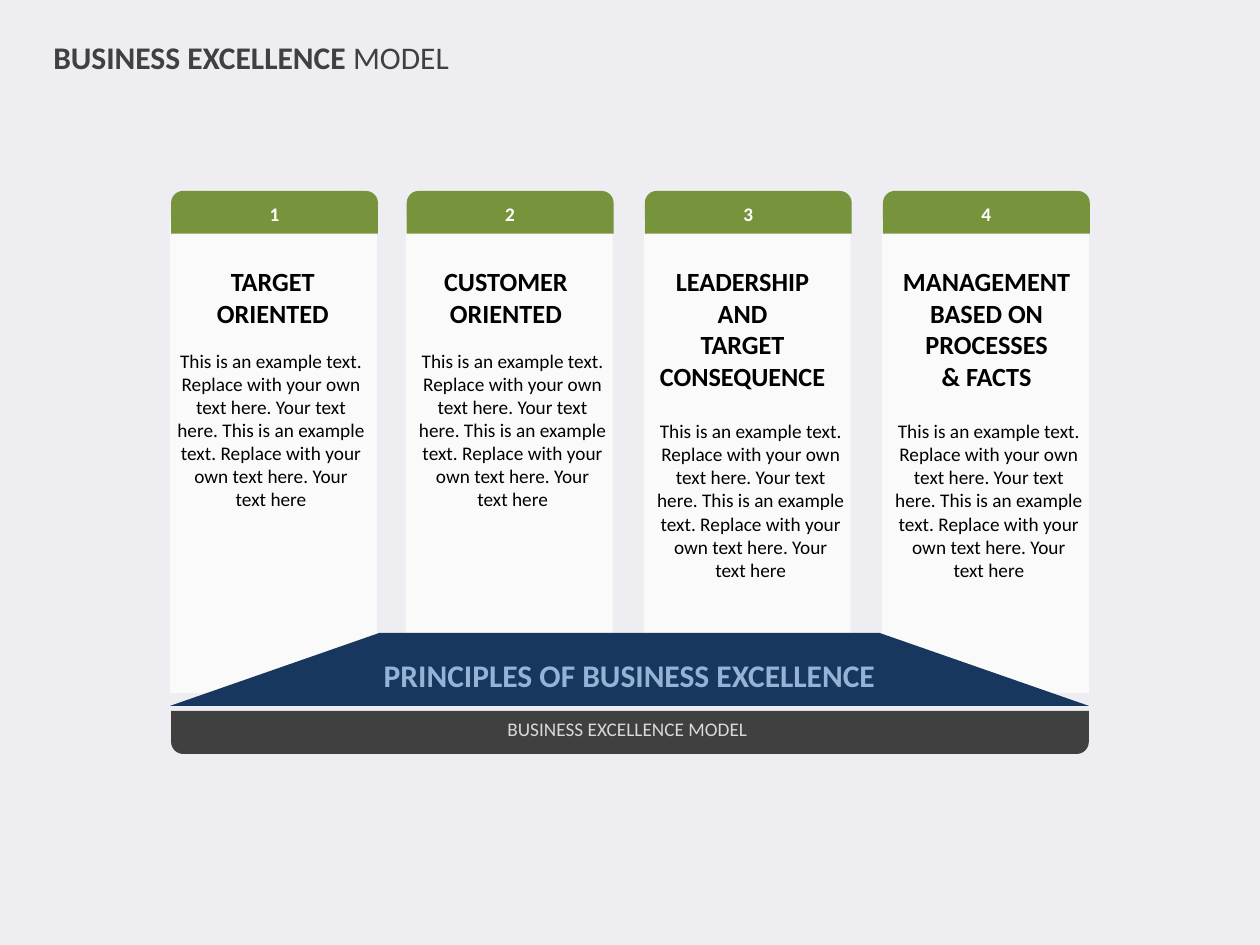
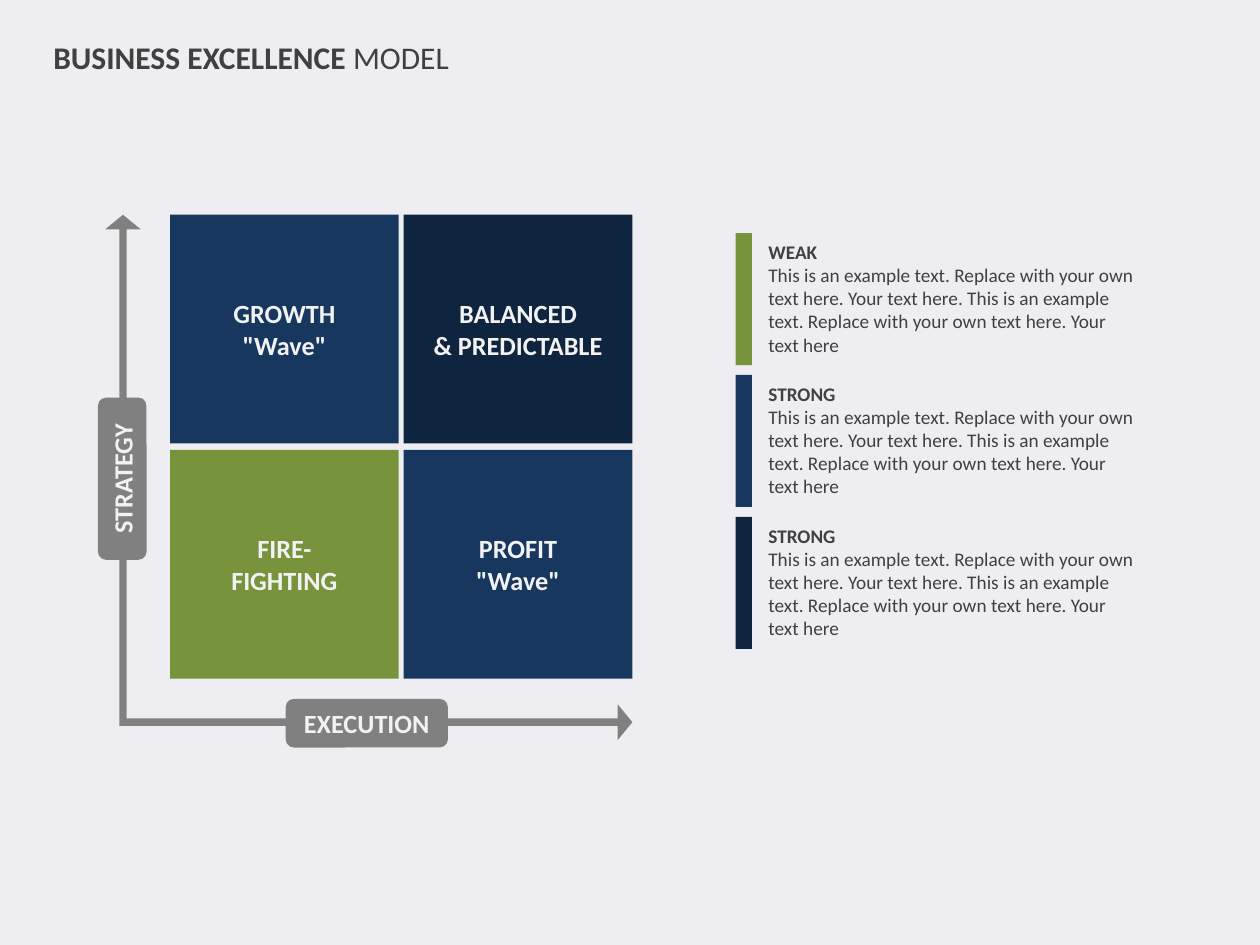
from lxml import etree
from pptx import Presentation
from pptx.dml.color import RGBColor
from pptx.enum.shapes import MSO_SHAPE
from pptx.enum.text import MSO_ANCHOR, MSO_AUTO_SIZE, PP_ALIGN
from pptx.oxml.ns import qn
from pptx.util import Cm, Pt

RECT, ROUNDED = MSO_SHAPE.RECTANGLE, MSO_SHAPE.ROUNDED_RECTANGLE
TOP_ROUNDED = MSO_SHAPE.ROUND_2_SAME_RECTANGLE
TRAPEZOID, CORNER_ARROW = MSO_SHAPE.TRAPEZOID, MSO_SHAPE.LEFT_UP_ARROW
LEFT, CENTER = PP_ALIGN.LEFT, PP_ALIGN.CENTER
TOP, MIDDLE = MSO_ANCHOR.TOP, MSO_ANCHOR.MIDDLE

FONT = "Calibri"
BACKGROUND = RGBColor(0xEE, 0xEE, 0xF2)
DARK = RGBColor(0x40, 0x40, 0x40)
GREY = RGBColor(0x80, 0x80, 0x80)
SILVER = RGBColor(0xD9, 0xD9, 0xD9)
PALE = RGBColor(0xF2, 0xF2, 0xF2)
WHITE = RGBColor(0xFF, 0xFF, 0xFF)
BLACK = RGBColor(0x00, 0x00, 0x00)
GREEN = RGBColor(0x77, 0x93, 0x3C)
BLUE = RGBColor(0x17, 0x37, 0x5E)
NAVY = RGBColor(0x0F, 0x24, 0x3E)
SKY = RGBColor(0x95, 0xB3, 0xD7)

# Content
TITLE = [("BUSINESS EXCELLENCE ", True), ("MODEL", False)]
EXAMPLE = ("This is an example text. Replace with your own text here. "
           "Your text here. This is an example text. Replace with your own "
           "text here. Your text here")
# Panel left, heading centre, text left, heading
PILLARS = [
    (3.43, 5.5, 3.32, ["TARGET", "ORIENTED"]),
    (8.18, 10.2, 8.19, ["CUSTOMER", "ORIENTED"]),
    (12.98, 14.97, 12.99, ["LEADERSHIP", "AND", "TARGET", "CONSEQUENCE"]),
    (17.78, 19.89, 17.79, ["MANAGEMENT", "BASED ON", "PROCESSES", "& FACTS"]),
]
PRINCIPLES = "PRINCIPLES OF BUSINESS EXCELLENCE"
BASE = "BUSINESS EXCELLENCE MODEL"
QUADRANTS = [
    [(["GROWTH", '"Wave"'], BLUE), (["BALANCED", "& PREDICTABLE"], NAVY)],
    [(["FIRE-", "FIGHTING"], GREEN), (["PROFIT", '"Wave"'], BLUE)],
]
# Axis label, left, top, rotation
AXES = [("EXECUTION", 5.76, 14.09, 0), ("STRATEGY", 0.83, 9.16, 270)]
LEGEND = [("WEAK", GREEN), ("STRONG", BLUE), ("STRONG", NAVY)]


def write(sp, lines, size=11, color=BLACK, bold=False, align=CENTER,
          anchor=TOP, wrap=True):
    """Each line is a string or a list of (text, bold) runs."""
    tf = sp.text_frame
    tf.word_wrap = wrap
    tf.auto_size = MSO_AUTO_SIZE.NONE
    tf.vertical_anchor = anchor
    for i, line in enumerate(lines):
        p = tf.paragraphs[0] if i == 0 else tf.add_paragraph()
        p.alignment = align
        runs = [(line, bold)] if isinstance(line, str) else line
        for text, is_bold in runs:
            r = p.add_run()
            r.text = text
            r.font.name = FONT
            r.font.size = Pt(size)
            r.font.bold = is_bold
            r.font.color.rgb = color


def shape(s, kind, x, y, w, h, fill, adjust=(), alpha=None):
    sp = s.shapes.add_shape(kind, Cm(x), Cm(y), Cm(w), Cm(h))
    sp.shadow.inherit = False
    sp.fill.solid()
    sp.fill.fore_color.rgb = fill
    sp.line.fill.background()
    for i, value in enumerate(adjust):
        sp.adjustments[i] = value
    if alpha:
        color = sp._element.spPr.find(".//" + qn("a:srgbClr"))
        etree.SubElement(color, qn("a:alpha")).set("val", str(alpha * 1000))
    return sp


def textbox(s, x, y, w, h, lines, **style):
    sp = s.shapes.add_textbox(Cm(x), Cm(y), Cm(w), Cm(h))
    write(sp, lines, **style)


def titled_slide(prs):
    s = prs.slides.add_slide(prs.slide_layouts[5])
    sp = s.shapes.title
    sp.left, sp.top, sp.width, sp.height = Cm(0.82), Cm(0.64), Cm(8.53), Cm(1.03)
    write(sp, [TITLE], size=18, color=DARK, align=LEFT, wrap=False)
    return s


def pillars_slide(prs):
    s = titled_slide(prs)
    left, top, width, total = 3.43, 3.85, 4.17, 18.52

    # Base bar and pillar panels, partly covered by the roof of the base
    shape(s, TOP_ROUNDED, left + 0.02, 14.33, total - 0.02, 0.87, DARK, (0, 0.28))
    for x, *_ in PILLARS:
        shape(s, TOP_ROUNDED, x, top, width, 10.12, WHITE, alpha=73)
    sp = shape(s, TRAPEZOID, left, 12.76, total, 1.47, BLUE, (2.87,))
    write(sp, [PRINCIPLES], size=18, color=SKY, bold=True, anchor=MIDDLE)

    # Number tab, heading and text of each pillar
    for number, (x, center, text_x, heading) in enumerate(PILLARS, 1):
        sp = shape(s, TOP_ROUNDED, x + 0.02, top, width, 0.86, GREEN, (0.28, 0))
        write(sp, [str(number)], color=WHITE, bold=True, anchor=MIDDLE)
        textbox(s, center - width / 2, 5.23, width, 0.3 + 0.7 * len(heading),
                heading, size=15, bold=True, wrap=False)
        text_top = 6.91 if len(heading) == 2 else 8.33
        textbox(s, text_x, text_top, 4.29, 4.01, [EXAMPLE])
    textbox(s, 9.98, 14.34, 5.34, 0.74, [BASE], color=SILVER, wrap=False)


def matrix_slide(prs):
    s = titled_slide(prs)

    # Axes and quadrants
    sp = shape(s, CORNER_ARROW, 2.12, 4.33, 10.63, 10.59, GREY,
               (0.014, 0.034, 0.028))
    sp._element.spPr.find(qn("a:xfrm")).set("flipH", "1")
    for row, cells in enumerate(QUADRANTS):
        for col, (lines, fill) in enumerate(cells):
            sp = shape(s, RECT, 3.43 + 4.71 * col, 4.33 + 4.74 * row,
                       4.61, 4.61, fill)
            write(sp, lines, size=15, color=PALE, bold=True, anchor=MIDDLE)
    for label, x, y, rotation in AXES:
        sp = shape(s, ROUNDED, x, y, 3.27, 0.98, GREY)
        sp.rotation = rotation
        write(sp, [label], size=15, color=PALE, bold=True, anchor=MIDDLE)

    # Legend
    for i, (name, fill) in enumerate(LEGEND):
        y = 4.7 + 2.86 * i
        shape(s, RECT, 14.83, y, 0.33, 2.66, fill)
        textbox(s, 15.24, y + 0.02, 8, 2.62, [[(name, True)], EXAMPLE],
                color=DARK, align=LEFT)


def main():
    prs = Presentation()
    prs.slide_width, prs.slide_height = Cm(25.4), Cm(19.05)
    fill = prs.slide_master.background.fill
    fill.solid()
    fill.fore_color.rgb = BACKGROUND
    pillars_slide(prs)
    matrix_slide(prs)
    prs.save("out.pptx")


if __name__ == "__main__":
    main()
